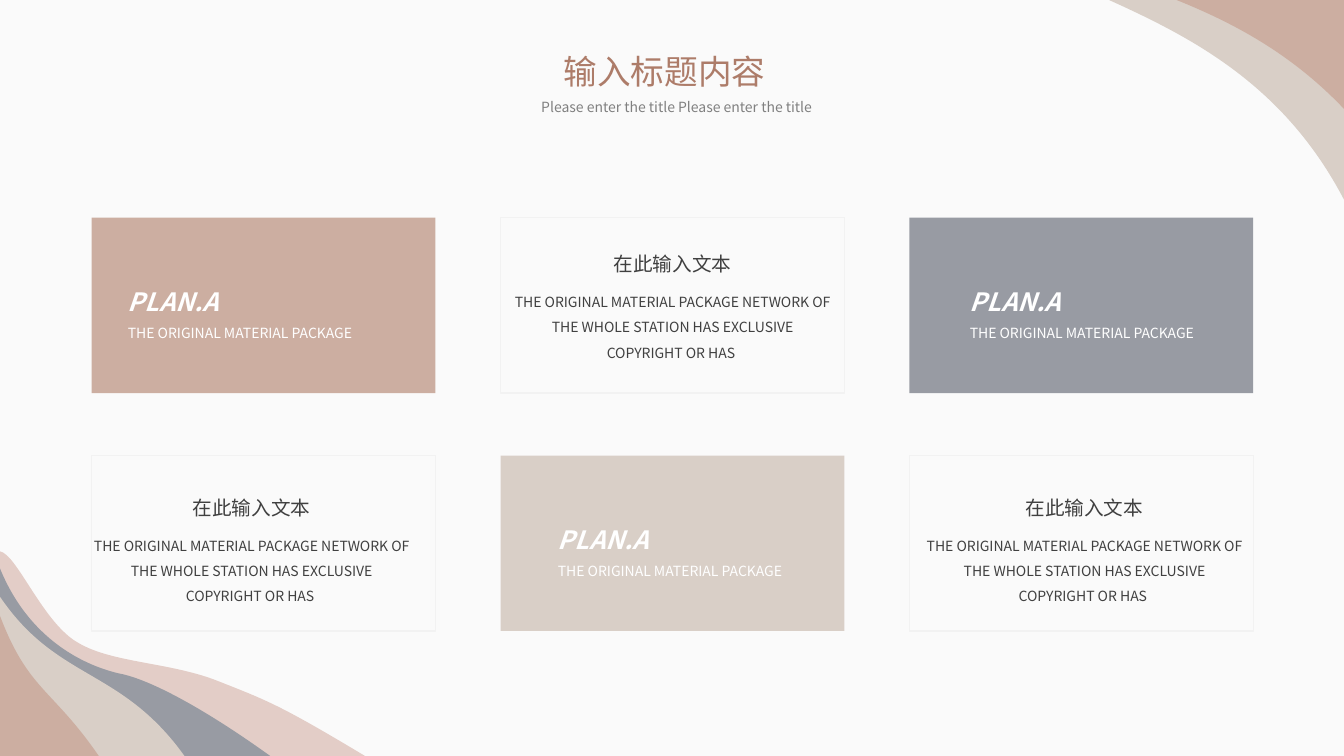
from lxml import etree
from pptx import Presentation
from pptx.dml.color import RGBColor
from pptx.enum.shapes import MSO_SHAPE
from pptx.enum.text import MSO_ANCHOR, MSO_AUTO_SIZE, PP_ALIGN
from pptx.oxml.ns import qn
from pptx.util import Inches, Pt

RECT = MSO_SHAPE.RECTANGLE
TOP = MSO_ANCHOR.TOP
GROW = MSO_AUTO_SIZE.SHAPE_TO_FIT_TEXT
LEFT, CENTER = PP_ALIGN.LEFT, PP_ALIGN.CENTER

FONT = "Noto Sans CJK SC"
PAPER = RGBColor(0xFA, 0xFA, 0xFA)
SAND = RGBColor(0xD9, 0xCF, 0xC7)
BLUSH = RGBColor(0xE3, 0xCD, 0xC7)
SLATE = RGBColor(0x98, 0x9B, 0xA3)
CLAY = RGBColor(0xCC, 0xAE, 0xA1)
BROWN = RGBColor(0xAD, 0x7C, 0x69)
GREY = RGBColor(0x80, 0x80, 0x80)
DARK = RGBColor(0x40, 0x40, 0x40)
WHITE = RGBColor(0xFF, 0xFF, 0xFF)
EDGE = RGBColor(0xF2, 0xF2, 0xF2)

W, H = 13.33, 7.5
CARD_W, CARD_H = 3.41, 1.74
LEFT_X, TOP_Y = 0.91, 2.16
COL_STEP, ROW_STEP = 4.055, 2.36

prs = Presentation()
prs.slide_width, prs.slide_height = Inches(W), Inches(H)
s = prs.slides.add_slide(prs.slide_layouts[5])
s.background.fill.solid()
s.background.fill.fore_color.rgb = PAPER


def write(sp, box, text, size, color, align=LEFT, spacing=1.5, strong=False):
    """Place a text shape and fill it with one formatted run."""
    sp.left, sp.top, sp.width, sp.height = [Inches(v) for v in box]
    tf = sp.text_frame
    tf.word_wrap = True
    tf.auto_size = GROW
    tf.vertical_anchor = TOP
    p = tf.paragraphs[0]
    p.alignment = align
    p.line_spacing = spacing
    r = p.add_run()
    r.text = text
    r.font.name = FONT
    r.font.size = Pt(size)
    r.font.color.rgb = color
    r.font.bold = r.font.italic = strong
    latin = r.font._element.find(qn("a:latin"))
    latin.addnext(etree.Element(qn("a:ea"), typeface=FONT))


def bend(sp):
    """Turn each three line points after the first into one Bezier curve."""
    lines = sp._element.findall(".//" + qn("a:lnTo"))[1:]
    for i in range(0, len(lines), 3):
        curve = etree.Element(qn("a:cubicBezTo"))
        lines[i].addprevious(curve)
        for line in lines[i:i + 3]:
            curve.append(line[0])
            line.getparent().remove(line)


# Corner waves: corner, colour, then a start point followed by control triples
TOP_RIGHT, BOTTOM_LEFT = (W, 0), (0, H)
waves = [
    (TOP_RIGHT, SAND, [(W, 1.98), (12.74, 0.85), (11.84, 0.38), (11, 0)]),
    (BOTTOM_LEFT, BLUSH, [(0, 5.47), (0.17, 5.5), (0.43, 6.19), (0.78, 6.38),
                          (1.12, 6.58), (1.7, 6.57), (2.17, 6.76),
                          (2.65, 6.95), (2.77, 6.99), (3.62, H)]),
    (BOTTOM_LEFT, SLATE, [(0, 5.64), (0.31, 6.4), (0.92, 6.63), (1.22, 6.69),
                          (1.52, 6.76), (2.04, 7.04), (2.68, H)]),
    (BOTTOM_LEFT, SAND, [(0, 5.92), (0.57, 6.76), (1.2, 6.62), (1.83, H)]),
    (BOTTOM_LEFT, CLAY, [(0, 6.11), (0.28, 6.85), (0.52, 6.83), (0.98, H)]),
    (BOTTOM_LEFT, CLAY, [(0, 6.58), (0.19, 7), (0.33, 7.21), (0.69, H)]),
    (TOP_RIGHT, CLAY, [(W, 1.08), (12.79, 0.51), (12.19, 0.21), (11.67, 0)]),
]
for (x, y), color, pts in waves:
    fb = s.shapes.build_freeform(Inches(x), Inches(y))
    fb.add_line_segments([(Inches(px), Inches(py)) for px, py in pts], close=True)
    sp = fb.convert_to_shape()
    bend(sp)
    sp.shadow.inherit = False
    sp.fill.solid()
    sp.fill.fore_color.rgb = color
    sp.line.fill.background()

# Cards: column, row, fill (None for an outlined note), text offset in the card
cards = [
    (0, 0, CLAY, 0.26, 0.48),
    (2, 0, SLATE, 0.5, 0.48),
    (0, 1, None, 0.13, 0.23),
    (1, 0, None, 0.25, 0.17),
    (2, 1, None, 0.28, 0.23),
    (1, 1, SAND, 0.47, 0.48),
]
for col, row, fill, dx, dy in cards:
    x, y = LEFT_X + col * COL_STEP, TOP_Y + row * ROW_STEP
    sp = s.shapes.add_shape(RECT, Inches(x), Inches(y), Inches(CARD_W), Inches(CARD_H))
    sp.shadow.inherit = False
    head = s.shapes.add_textbox(0, 0, 0, 0)
    body = s.shapes.add_textbox(0, 0, 0, 0)
    tx, ty = x + dx, y + dy
    if fill is None:
        sp.fill.background()
        sp.line.color.rgb = EDGE
        sp.line.width = Pt(1)
        write(head, (tx, ty, 2.91, 0.41), "在此输入文本", 14, DARK, CENTER)
        write(body, (tx - 0.22, ty + 0.45, 3.35, 0.57),
              "THE ORIGINAL MATERIAL PACKAGE NETWORK OF THE WHOLE STATION "
              "HAS EXCLUSIVE COPYRIGHT OR HAS ", 10, DARK, CENTER)
    else:
        sp.fill.solid()
        sp.fill.fore_color.rgb = fill
        sp.line.fill.background()
        write(head, (tx, ty, 2.91, 0.5), "PLAN.A", 18, WHITE, strong=True)
        write(body, (tx, ty + 0.45, 2.67, 0.32),
              "THE ORIGINAL MATERIAL PACKAGE", 10, WHITE)

write(s.shapes.title, (5.49, 0.45, 2.33, 0.5), "输入标题内容", 24, BROWN, spacing=1.0)
write(s.shapes.add_textbox(0, 0, 0, 0), (5.27, 0.84, 3.4, 0.32),
      "Please enter the title Please enter the title", 10, GREY)

prs.save("out.pptx")
